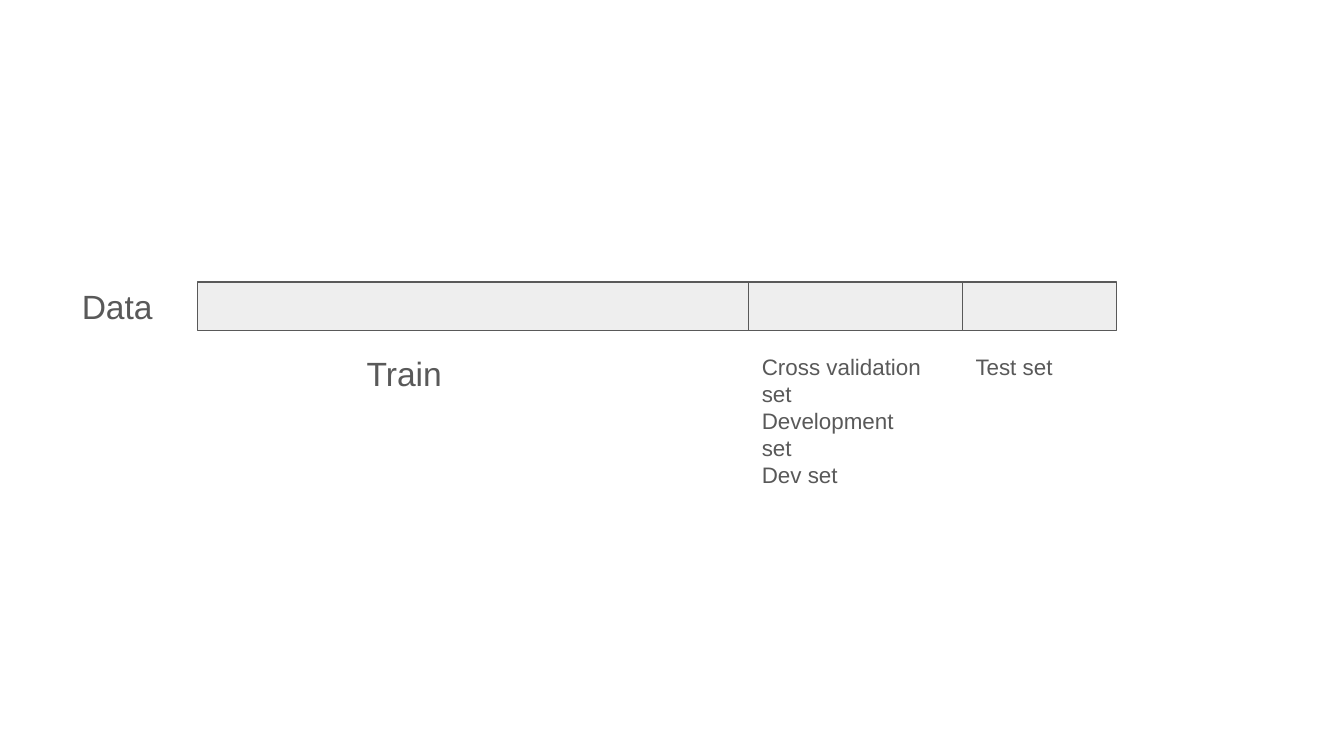
from pptx import Presentation
from pptx.dml.color import RGBColor
from pptx.enum.shapes import MSO_SHAPE as Shape
from pptx.enum.text import MSO_AUTO_SIZE as AutoSize
from pptx.util import Inches, Pt

THEME = {
    "font": "Arial",
    "ink": RGBColor(0x59, 0x59, 0x59),
    "bar": RGBColor(0xEE, 0xEE, 0xEE),
    "large": Pt(18),
    "small": Pt(12),
    "outline": Pt(0.75),
}

# Column edges of the data bar and the rows around it, in inches
TRAIN, DEV, TEST, END = 1.47, 5.57, 7.16, 8.31
BAR_TOP, BAR_HEIGHT = 2.1, 0.36
DATA_TOP, CAPTION_TOP = 2.03, 2.53

deck = Presentation()
deck.slide_width = Inches(10)
deck.slide_height = deck.slide_width * 9 // 16
slide = deck.slides.add_slide(deck.slide_layouts[6])

edges = [TRAIN, DEV, TEST, END]
for left, right in zip(edges, edges[1:]):
    split = slide.shapes.add_shape(
        Shape.RECTANGLE, Inches(left), Inches(BAR_TOP),
        Inches(right - left), Inches(BAR_HEIGHT))
    split.shadow.inherit = False
    split.fill.solid()
    split.fill.fore_color.rgb = THEME["bar"]
    split.line.color.rgb = THEME["ink"]
    split.line.width = THEME["outline"]

captions = [
    (0.51, DATA_TOP, 1.15, 0.5, "large", ["Data"]),
    (2.63, CAPTION_TOP, 8.24, 0.5, "large", ["Train"]),
    (DEV, CAPTION_TOP, 1.39, 1.21, "small",
     ["Cross validation set", "Development set", "Dev set"]),
    (TEST, CAPTION_TOP, 1.39, 0.4, "small", ["Test set"]),
]
frame_format = {
    "word_wrap": True,
    "auto_size": AutoSize.SHAPE_TO_FIT_TEXT,
    **{f"margin_{side}": Inches(0.1)
       for side in ("left", "top", "right", "bottom")},
}
for left, top, width, height, size, names in captions:
    caption = slide.shapes.add_textbox(*map(Inches, (left, top, width, height)))
    frame = caption.text_frame
    for attribute, value in frame_format.items():
        setattr(frame, attribute, value)
    frame.text = "\n".join(names)
    for paragraph in frame.paragraphs:
        font = paragraph.runs[0].font
        font.name, font.size = THEME["font"], THEME[size]
        font.color.rgb = THEME["ink"]

deck.save("out.pptx")
